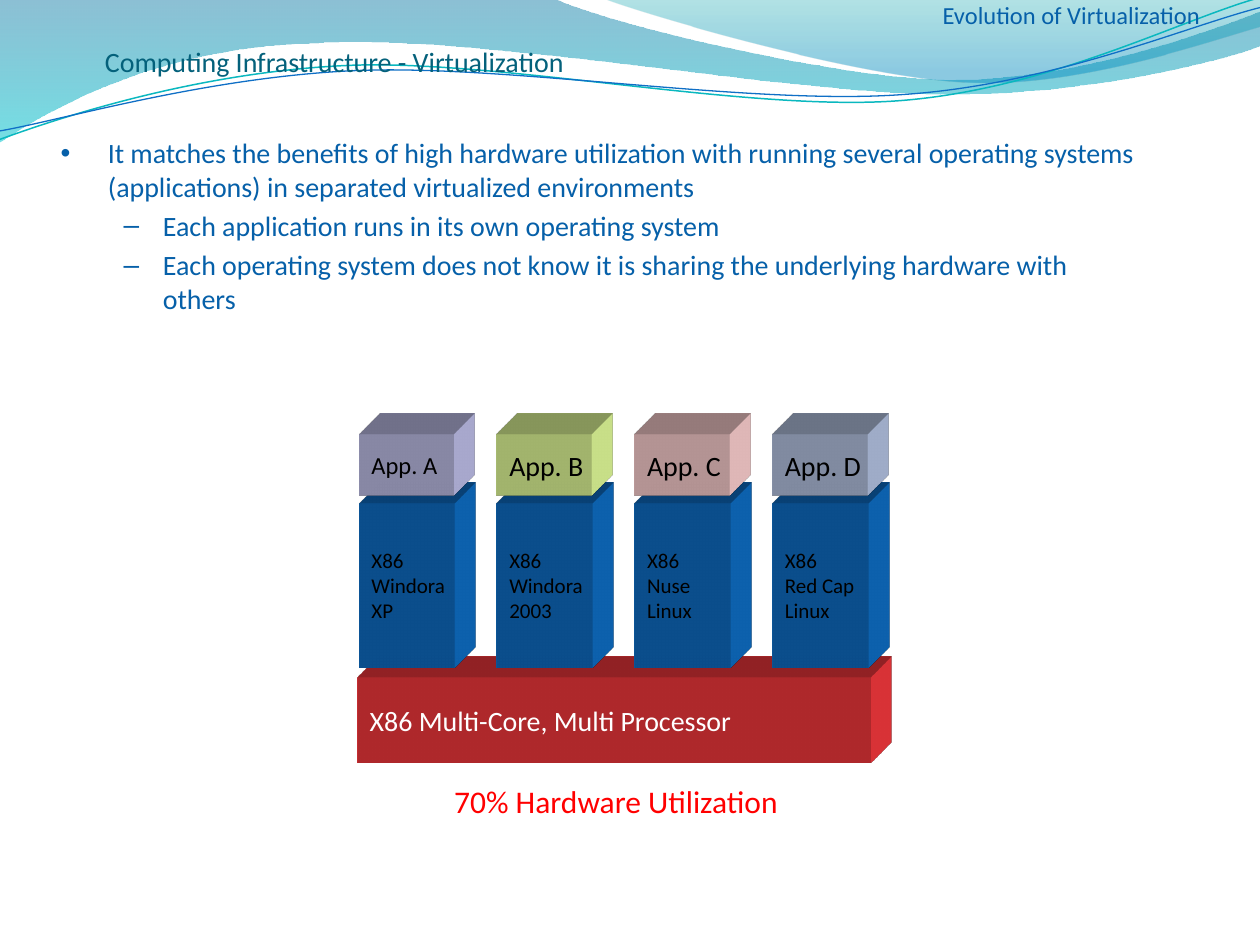
from lxml import etree
from pptx import Presentation
from pptx.dml.color import RGBColor
from pptx.enum.shapes import MSO_SHAPE
from pptx.enum.text import MSO_ANCHOR, PP_ALIGN
from pptx.oxml.ns import qn
from pptx.util import Pt

RECT = MSO_SHAPE.RECTANGLE
MIDDLE = MSO_ANCHOR.MIDDLE
LEFT = PP_ALIGN.LEFT
FONT = "Calibri"
BLUE = "0660A9"

WAVES = [
    ([(0, 0), (316.8, -0.7), (342.7, 12.2, 478.1, 45.4, 545.8, 45.4),
      (614.2, 45.4, 689.8, 18.7, 720, 6.5), (720.7, 25.9),
      (707.8, 31.7, 626.4, 54.7, 537.1, 54), (447.8, 53.3, 275, 20.2, 185, 24.5),
      (92.9, 25.9, 33.1, 59.8, -0.7, 81.4)],
     [(0, "0074A1", 45), (1, "00C6CF", 55)]),
    ([(344.9, -0.7), (366.5, 7.9, 491, 44.6, 553.7, 46.8),
      (616.3, 49.7, 691.9, 23, 720, 15.1), (720, 0)],
     [(0, "00A1A9", 30), (0.8, "008BBF", 45)]),
]
STROKES = [
    ([(-0.7, 79.9), (34.6, 67, 113.8, 41, 199.4, 37.4),
      (284.4, 33.8, 427, 64.1, 513.4, 57.6), (599.8, 51.1, 675.4, 10.8, 720, -1.4)],
     "0AB8BF", 0.85),
    ([(-0.7, 74.9), (33.8, 69.1, 118.1, 43.9, 203.8, 40.3),
      (290.2, 36.7, 429.8, 60.5, 516.2, 54), (601.9, 48.2, 677.5, 15.1, 720, 4.3)],
     "0F6FC6", 0.75),
]
BULLETS = [
    (0, "It matches the benefits of high hardware utilization with running several "
        "operating systems (applications) in separated virtualized environments"),
    (1, "Each application runs in its own operating system"),
    (1, "Each operating system does not know it is sharing the underlying hardware with others"),
]
BULLET_STYLES = [("•", 27, -27), ("–", 58.5, -22.5)]
STACKS = [
    ("App. A", 14, "C0C0EA", "X86\nWindora\nXP"),
    ("App. B", 16, "E5FF9B", "X86\nWindora\n2003"),
    ("App. C", 16, "FFD1D1", "X86\nNuse\nLinux"),
    ("App. D", 16, "B6C5E4", "X86\nRed Cap\nLinux"),
]
STACK_X, STACK_STEP = 205.2, 78.75
DEPTH = Pt(33.87)


def rgb(color):
    return RGBColor.from_string(color)


def add_curve(s, steps, closed):
    points = [(Pt(step[i]), Pt(step[i + 1])) for step in steps for i in range(0, len(step), 2)]
    fb = s.shapes.build_freeform(*points[0])
    fb.add_line_segments(points[1:], close=closed)
    sp = fb.convert_to_shape()
    sp.shadow.inherit = False
    lines = iter(list(sp._element.spPr.iter(qn("a:lnTo"))))
    for step in steps[1:]:
        first = next(lines)
        if len(step) == 6:
            first.tag = qn("a:cubicBezTo")
            for line in (next(lines), next(lines)):
                first.append(line[0])
                line.getparent().remove(line)
    return sp


def add_wave(s, steps, stops):
    sp = add_curve(s, steps, True)
    sp.line.fill.background()
    sp.fill.gradient()
    sp.fill.gradient_angle = 270
    for stop, (position, color, _) in zip(sp.fill.gradient_stops, stops):
        stop.position = position
        stop.color.rgb = rgb(color)
    for clr, (_, _, opacity) in zip(sp._element.spPr.iter(qn("a:srgbClr")), stops):
        etree.SubElement(clr, qn("a:alpha")).set("val", str(opacity * 1000))


def add_stroke(s, steps, color, width):
    sp = add_curve(s, steps, False)
    sp.fill.background()
    sp.line.color.rgb = rgb(color)
    sp.line.width = Pt(width)


def set_text(tf, text, size, color):
    tf.text = text
    for p in tf.paragraphs:
        p.alignment = LEFT
        for r in p.runs:
            r.font.name = FONT
            r.font.size = Pt(size)
            r.font.color.rgb = rgb(color)


def add_text(s, box, text, size, color, insets=(0, 0, 0, 0), wrap=True):
    tf = s.shapes.add_textbox(*map(Pt, box)).text_frame
    tf.word_wrap = wrap
    tf.margin_left, tf.margin_top, tf.margin_right, tf.margin_bottom = map(Pt, insets)
    set_text(tf, text, size, color)
    return tf


def extrude(sp, color):
    spPr = sp._element.spPr
    scene = etree.SubElement(spPr, qn("a:scene3d"))
    etree.SubElement(scene, qn("a:camera"), prst="legacyObliqueTopRight")
    etree.SubElement(scene, qn("a:lightRig"), rig="legacyFlat3", dir="b")
    solid = etree.SubElement(spPr, qn("a:sp3d"), extrusionH=str(DEPTH),
                             prstMaterial="legacyMatte")
    clr = etree.SubElement(solid, qn("a:extrusionClr"))
    etree.SubElement(clr, qn("a:srgbClr"), val=color)


def add_block(s, x, y, w, h, color, text, size, text_color):
    sp = s.shapes.add_shape(RECT, Pt(x), Pt(y), Pt(w), Pt(h))
    sp.shadow.inherit = False
    sp.fill.solid()
    sp.fill.fore_color.rgb = rgb(color)
    sp.line.fill.background()
    extrude(sp, color)
    tf = sp.text_frame
    tf.word_wrap = False
    tf.vertical_anchor = MIDDLE
    set_text(tf, text, size, text_color)


def add_bullets(s):
    tf = add_text(s, (34.6, 77.6, 619.9, 162.7),
                  "\n".join(text for _, text in BULLETS), 16, BLUE)
    for i, (p, (level, _)) in enumerate(zip(tf.paragraphs, BULLETS)):
        char, margin, indent = BULLET_STYLES[level]
        p.level = level
        if i:
            p.space_before = Pt(3.2)
        pPr = p._p.get_or_add_pPr()
        pPr.set("marL", str(Pt(margin)))
        pPr.set("indent", str(Pt(indent)))
        etree.SubElement(pPr, qn("a:buFont"), typeface="Arial")
        etree.SubElement(pPr, qn("a:buChar"), char=char)


def main():
    prs = Presentation()
    prs.slide_width, prs.slide_height = Pt(720), Pt(540)
    s = prs.slides.add_slide(prs.slide_layouts[6])
    for steps, stops in WAVES:
        add_wave(s, steps, stops)
    for steps, color, width in STROKES:
        add_stroke(s, steps, color, width)
    add_text(s, (60, 22, 635.8, 90), "Computing Infrastructure - Virtualization",
             16, "04617B", (0, 3.6, 0, 0))
    add_bullets(s)
    add_block(s, 204.2, 387.4, 293.4, 48.4, "F83A3F",
              "X86 Multi-Core, Multi Processor", 16, "FFFFFF")
    add_text(s, (252.5, 443.2, 201.6, 28.8), "70% Hardware Utilization", 18, "FF0000",
             (7.2, 3.6, 7.2, 3.6), wrap=False)
    for i, (app, size, color, system) in enumerate(STACKS):
        x = STACK_X + i * STACK_STEP
        add_block(s, x, 287.8, 54.7, 93.4, "0F6FC6", system, 12, "000000")
        add_block(s, x, 248.3, 54.2, 34.8, color, app, size, "000000")
    add_text(s, (538.6, 0, 181.4, 22.3), "Evolution of Virtualization", 14, BLUE)
    prs.save("out.pptx")


if __name__ == "__main__":
    main()
